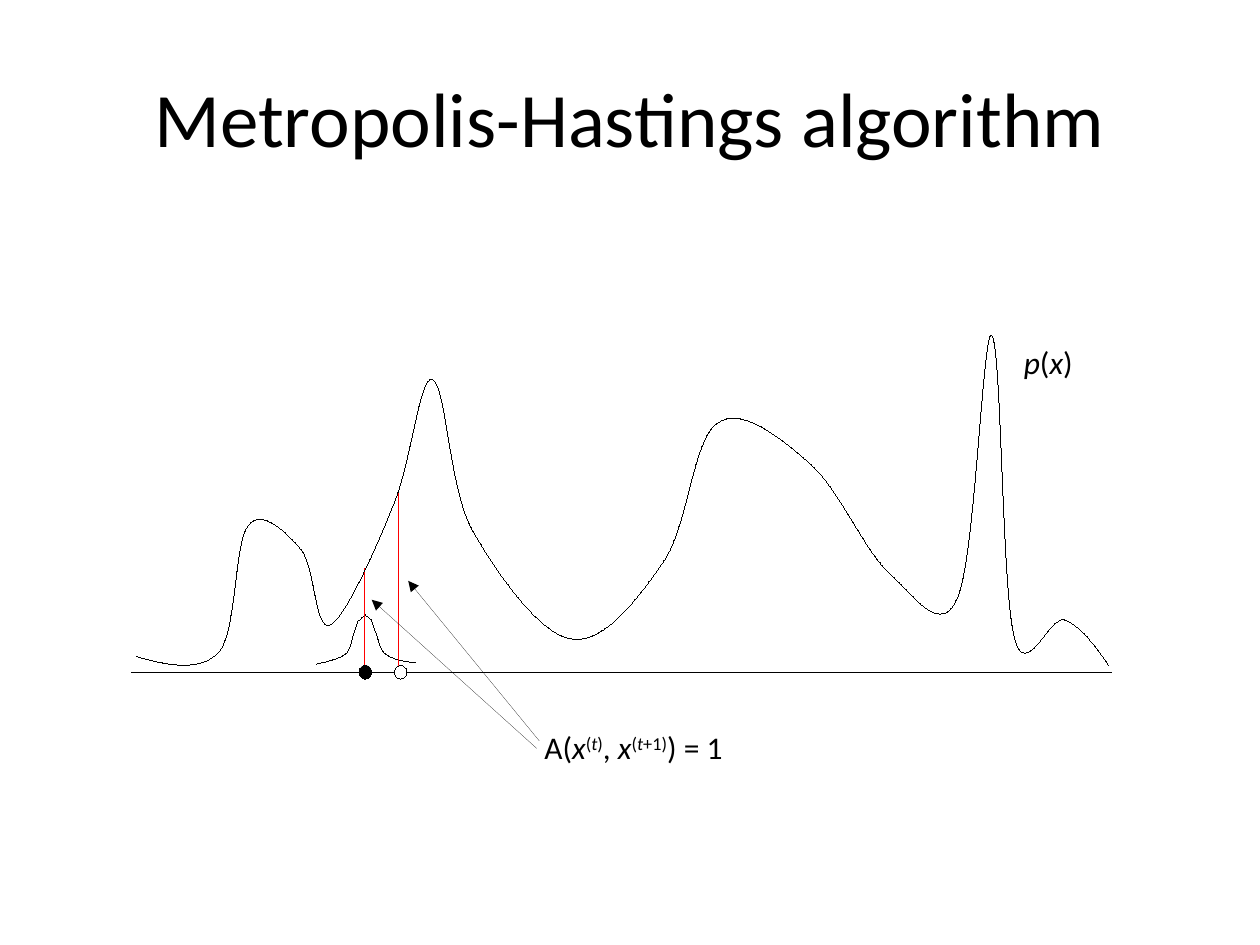
from lxml.etree import SubElement
from pptx import Presentation
from pptx.dml.color import RGBColor
from pptx.enum.shapes import MSO_CONNECTOR, MSO_SHAPE
from pptx.enum.text import MSO_ANCHOR, MSO_AUTO_SIZE, PP_ALIGN
from pptx.oxml.ns import qn
from pptx.util import Inches, Pt

HUES = {"ink": "000000", "red": "FF0000", "paper": "FFFFFF"}
BASE = 5.34

# Each curve: a start point, then cubic segments (two controls and an end).
DENSITY = ((1.08, 5.21), [
    (1.33, 5.28, 1.59, 5.34, 1.74, 5.17),
    (1.88, 5, 1.86, 4.3, 1.97, 4.17),
    (2.08, 4.03, 2.28, 4.23, 2.39, 4.36),
    (2.5, 4.49, 2.5, 5.01, 2.62, 4.96),
    (2.74, 4.9, 2.99, 4.34, 3.12, 4.01),
    (3.26, 3.69, 3.33, 2.98, 3.43, 3.01),
    (3.54, 3.04, 3.56, 3.84, 3.74, 4.19),
    (3.93, 4.53, 4.28, 5.03, 4.53, 5.07),
    (4.79, 5.12, 5.07, 4.74, 5.27, 4.45),
    (5.46, 4.17, 5.5, 3.49, 5.69, 3.36),
    (5.88, 3.22, 6.19, 3.47, 6.42, 3.67),
    (6.65, 3.86, 6.86, 4.37, 7.06, 4.55),
    (7.26, 4.73, 7.47, 5.06, 7.6, 4.74),
    (7.74, 4.43, 7.8, 2.61, 7.87, 2.66),
    (7.95, 2.71, 7.95, 4.68, 8.05, 5.05),
    (8.14, 5.43, 8.32, 4.88, 8.45, 4.92),
    (8.57, 4.96, 8.69, 5.12, 8.8, 5.28),
])
BELL_LEFT = ((2.51, 5.27), [
    (2.6, 5.25, 2.69, 5.23, 2.74, 5.19),
    (2.79, 5.15, 2.79, 5.06, 2.81, 5.02),
    (2.83, 4.97, 2.83, 4.95, 2.84, 4.93),
    (2.86, 4.91, 2.88, 4.89, 2.9, 4.88),
])
BELL_RIGHT = ((3.3, 5.26), [
    (3.2, 5.25, 3.11, 5.23, 3.06, 5.19),
    (3.01, 5.15, 3, 5.06, 2.98, 5.01),
    (2.96, 4.97, 2.96, 4.95, 2.95, 4.92),
    (2.93, 4.9, 2.91, 4.89, 2.89, 4.87),
])


def hue(name):
    return RGBColor.from_string(HUES[name])


def ink(shape, name="ink"):
    """Drop the theme style and leave a line of the default width."""
    shape._element.remove(shape._element.find(qn("p:style")))
    shape.line.color.rgb = hue(name)


def add_line(slide, start, end, name="ink", arrow=False):
    ends = [Inches(v) for v in (*start, *end)]
    line = slide.shapes.add_connector(MSO_CONNECTOR.STRAIGHT, *ends)
    ink(line, name)
    if arrow:
        SubElement(line.line._get_or_add_ln(), qn("a:tailEnd"), type="triangle")
    SubElement(line._element.spPr, qn("a:effectLst"))


def add_curve(slide, start, parts):
    """Build a freeform through the knots, then bend each segment."""
    pen = slide.shapes.build_freeform(*(Inches(v) for v in start))
    knots = [(Inches(part[4]), Inches(part[5])) for part in parts]
    pen.add_line_segments(knots, close=False)
    curve = pen.convert_to_shape()
    lines = list(curve._element.iter(qn("a:lnTo")))
    for line, part in zip(lines, parts):
        line.tag = qn("a:cubicBezTo")
        for spot, (x, y) in enumerate((part[:2], part[2:4])):
            knob = line.makeelement(qn("a:pt"), {
                "x": str(Inches(x) - curve.left),
                "y": str(Inches(y) - curve.top)})
            line.insert(spot, knob)
    curve.shadow.inherit = False
    curve.fill.background()
    ink(curve)


def add_dot(slide, left, fill):
    box = [Inches(v) for v in (left, 5.28, 0.1, 0.11)]
    dot = slide.shapes.add_shape(MSO_SHAPE.OVAL, *box)
    dot.shadow.inherit = False
    dot.fill.solid()
    dot.fill.fore_color.rgb = hue(fill)
    ink(dot)


def add_text(slide, box, runs, size=18, align=PP_ALIGN.LEFT, wrap=False):
    """Add one paragraph; runs are (text, style), i for italic, ^ for raised."""
    frame = slide.shapes.add_textbox(*(Inches(v) for v in box)).text_frame
    frame.word_wrap = wrap
    frame.auto_size = MSO_AUTO_SIZE.NONE if wrap else MSO_AUTO_SIZE.SHAPE_TO_FIT_TEXT
    frame.vertical_anchor = MSO_ANCHOR.MIDDLE if wrap else MSO_ANCHOR.TOP
    frame.margin_left = frame.margin_right = Inches(0.05)
    frame.margin_top = frame.margin_bottom = Inches(0.05)
    para = frame.paragraphs[0]
    para.alignment = align
    para.font.name = "Calibri"
    para.font.size = Pt(size)
    para.font.color.rgb = hue("ink")
    for text, style in runs:
        run = para.add_run()
        run.text = text
        if "i" in style:
            run.font.italic = True
        if "^" in style:
            run._r.get_or_add_rPr().set("baseline", "30000")


def main():
    deck = Presentation()
    deck.slide_width, deck.slide_height = Inches(10), Inches(7.5)
    slide = deck.slides.add_slide(deck.slide_layouts[6])

    add_text(slide, (0.5, 0.3, 9, 1.25), [("Metropolis-Hastings algorithm", "")],
             size=44, align=PP_ALIGN.CENTER, wrap=True)
    add_line(slide, (1.04, BASE), (8.82, BASE))
    add_curve(slide, *BELL_LEFT)
    add_curve(slide, *BELL_RIGHT)
    add_line(slide, (3.16, BASE), (3.16, 3.91), "red")
    add_line(slide, (2.89, 5.3), (2.89, 4.51), "red")
    add_curve(slide, *DENSITY)
    add_dot(slide, 2.85, "ink")
    add_line(slide, (4.26, 5.94), (2.95, 4.76), arrow=True)
    add_line(slide, (4.28, 5.88), (3.24, 4.61), arrow=True)
    add_text(slide, (4.27, 5.73, 1.59, 0.36), [
        ("A(", ""), ("x", "i"), ("(", "^"), ("t", "i^"), (")", "^"),
        (", ", ""), ("x", "i"), ("(", "^"), ("t", "i^"), ("+1)", "^"),
        (") = 1", "")])
    add_dot(slide, 3.13, "paper")
    add_text(slide, (8.07, 2.67, 0.5, 0.36),
             [("p", "i"), ("(", ""), ("x", "i"), (")", "")],
             align=PP_ALIGN.CENTER)
    deck.save("out.pptx")


if __name__ == "__main__":
    main()
